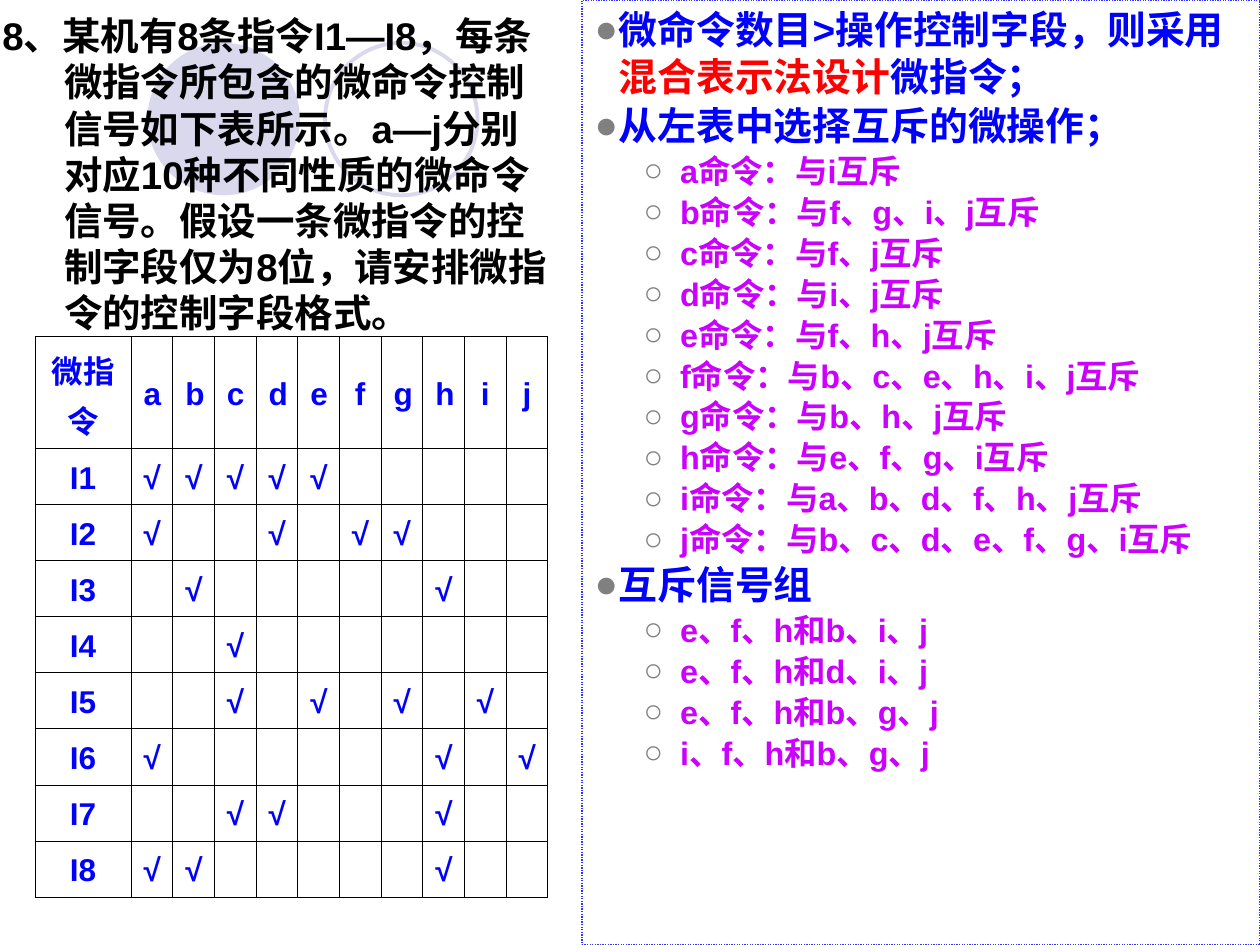
from dataclasses import dataclass

from pptx import Presentation
from pptx import util as u
from pptx.dml.color import RGBColor
from pptx.enum import dml, shapes, text
from pptx.oxml import parse_xml
from pptx.oxml.ns import nsdecls


@dataclass(frozen=True)
class Theme:
    """Colours, type sizes and font of the slide."""
    font: str = "Arial"
    black: str = "000000"
    white: str = "FFFFFF"
    blue: str = "0000FF"
    red: str = "FF0000"
    purple: str = "CC00FF"
    grey: str = "808080"
    lilac: str = "D9D8EC"
    frame: str = "3333FF"
    title: float = 22
    point: float = 22.2
    detail: float = 18.5
    cell: float = 18


T = Theme()
QUESTION = ("8、某机有8条指令I1—I8，每条微指令所包含的微命令控制信号如下表所示。"
            "a—j分别对应10种不同性质的微命令信号。假设一条微指令的控制字段仅为8位，"
            "请安排微指令的控制字段格式。")
SIGNALS = "abcdefghij"
USED = ["abcde", "adfg", "bh", "c", "cegi", "ahj", "cdh", "abh"]
EXCLUSIVE = ["i", "fgij", "fj", "ij", "fhj", "bcehij", "bhj", "efgi", "abdfhj", "bcdefgi"]
GROUPS = [("efh", "bij"), ("efh", "dij"), ("efh", "bgj"), ("ifh", "bgj")]
LEVELS = [
    {"size": T.point, "bullet": "●", "left": 0.19, "hang": 0.19, "before": 1.5},
    {"size": T.detail, "bullet": "○", "left": 0.68, "hang": 0.29, "before": 1.2},
]


def rgb(value):
    """Turn a hex string into a colour."""
    return RGBColor.from_string(value)


def set_attrs(obj, values):
    """Set every attribute named in a dict."""
    for name, value in values.items():
        setattr(obj, name, value)


def set_indent(p, left, hang):
    """Give a paragraph a hanging indent."""
    pPr = p._p.get_or_add_pPr()
    pPr.set("marL", str(u.Inches(left)))
    pPr.set("indent", str(-u.Inches(hang)))
    return pPr


def add_run(p, words, size, color):
    """Add a bold run in the theme font."""
    r = p.add_run()
    r.text = words
    set_attrs(r.font, {"name": T.font, "size": u.Pt(size), "bold": True})
    r.font.color.rgb = rgb(color)


def add_shape(s, kind, box, fill=None, line=None, width=0.75):
    """Add a flat preset shape with optional fill and line."""
    sp = s.shapes.add_shape(kind, *map(u.Inches, box))
    sp.shadow.inherit = False
    if fill:
        sp.fill.solid()
        sp.fill.fore_color.rgb = rgb(fill)
    else:
        sp.fill.background()
    if line:
        sp.line.color.rgb = rgb(line)
        sp.line.width = u.Pt(width)
    else:
        sp.line.fill.background()
    return sp


def add_circles(s, box):
    """Place a filled and an outlined circle at the two ends of the box."""
    x, y, w, h = box
    add_shape(s, shapes.MSO_SHAPE.OVAL, (x, y, h, h), fill=T.lilac)
    add_shape(s, shapes.MSO_SHAPE.OVAL, (x + w - h, y, h, h), line=T.lilac, width=2.25)


def add_question(s, box):
    """Place the question with its hanging number."""
    tf = s.shapes.add_textbox(*map(u.Inches, box)).text_frame
    set_attrs(tf, {"word_wrap": True, "vertical_anchor": text.MSO_ANCHOR.MIDDLE})
    p = tf.paragraphs[0]
    set_indent(p, 0.49, 0.49)
    add_run(p, QUESTION, T.title, T.black)


def answer_lines():
    """List each answer line as its level and coloured runs."""
    lines = [
        (0, [("微命令数目>操作控制字段，则采用", T.blue), ("混合表示法设计", T.red),
             ("微指令；", T.blue)]),
        (0, [("从左表中选择互斥的微操作；", T.blue)]),
    ]
    lines += [(1, [(f"{name}命令：与{'、'.join(others)}互斥", T.purple)])
              for name, others in zip(SIGNALS, EXCLUSIVE)]
    lines.append((0, [("互斥信号组", T.blue)]))
    lines += [(1, [("和".join("、".join(part) for part in pair), T.purple)])
              for pair in GROUPS]
    return lines


def add_answer(s, box):
    """Place the dotted panel with the bulleted answer."""
    sp = add_shape(s, shapes.MSO_SHAPE.RECTANGLE, box, fill=T.white, line=T.frame)
    sp.line.dash_style = dml.MSO_LINE.ROUND_DOT
    tf = sp.text_frame
    set_attrs(tf, {"word_wrap": True, "vertical_anchor": text.MSO_ANCHOR.TOP})
    for i, (level, runs) in enumerate(answer_lines()):
        p = tf.add_paragraph() if i else tf.paragraphs[0]
        style = LEVELS[level]
        pPr = set_indent(p, style["left"], style["hang"])
        for xml in (f'<a:buClr {nsdecls("a")}><a:srgbClr val="{T.grey}"/></a:buClr>',
                    f'<a:buFont {nsdecls("a")} typeface="{T.font}"/>',
                    f'<a:buChar {nsdecls("a")} char="{style["bullet"]}"/>'):
            pPr.append(parse_xml(xml))
        set_attrs(p, {"level": level, "alignment": text.PP_ALIGN.LEFT, "line_spacing": 1.0,
                      "space_before": u.Pt(style["before"] if i else 0)})
        for words, color in runs:
            add_run(p, words, style["size"], color)


def format_cell(cell, words):
    """Write one centred, thinly bordered cell."""
    tcPr = cell._tc.get_or_add_tcPr()
    for side in "LRTB":
        tcPr.append(parse_xml(
            f'<a:ln{side} {nsdecls("a")} w="{u.Pt(0.45)}"><a:solidFill>'
            f'<a:srgbClr val="{T.black}"/></a:solidFill></a:ln{side}>'))
    cell.fill.background()
    cell.vertical_anchor = text.MSO_ANCHOR.MIDDLE
    if words:
        p = cell.text_frame.paragraphs[0]
        set_attrs(p, {"alignment": text.PP_ALIGN.CENTER, "line_spacing": 1.1,
                      "space_after": u.Pt(2.2)})
        add_run(p, words, T.cell, T.blue)


def add_signal_table(s, box, first_col=0.76, first_row=0.89):
    """Place the table of signals used by each instruction."""
    rows = [["微指令", *SIGNALS]]
    rows += [[f"I{n}", *("√" if name in used else "" for name in SIGNALS)]
             for n, used in enumerate(USED, 1)]
    table = s.shapes.add_table(len(rows), len(rows[0]), *map(u.Inches, box)).table
    set_attrs(table, {"first_row": False, "horz_banding": False})
    col_w = (box[2] - first_col) / len(SIGNALS)
    row_h = (box[3] - first_row) / len(USED)
    for i, col in enumerate(table.columns):
        col.width = u.Inches(col_w if i else first_col)
    for i, row in enumerate(table.rows):
        row.height = u.Inches(row_h if i else first_row)
        for cell, words in zip(row.cells, rows[i]):
            format_cell(cell, words)


def main():
    """Build and save the slide."""
    prs = Presentation()
    set_attrs(prs, {"slide_width": u.Inches(10), "slide_height": u.Inches(7.5)})
    s = prs.slides.add_slide(prs.slide_layouts[6])
    add_circles(s, (1.17, 0.34, 2.62, 1.21))
    add_question(s, (-0.08, 0.08, 4.58, 2.6))
    add_answer(s, (4.62, 0, 5.38, 7.5))
    add_signal_table(s, (0.28, 2.67, 4.07, 4.45))
    prs.save("out.pptx")


if __name__ == "__main__":
    main()
